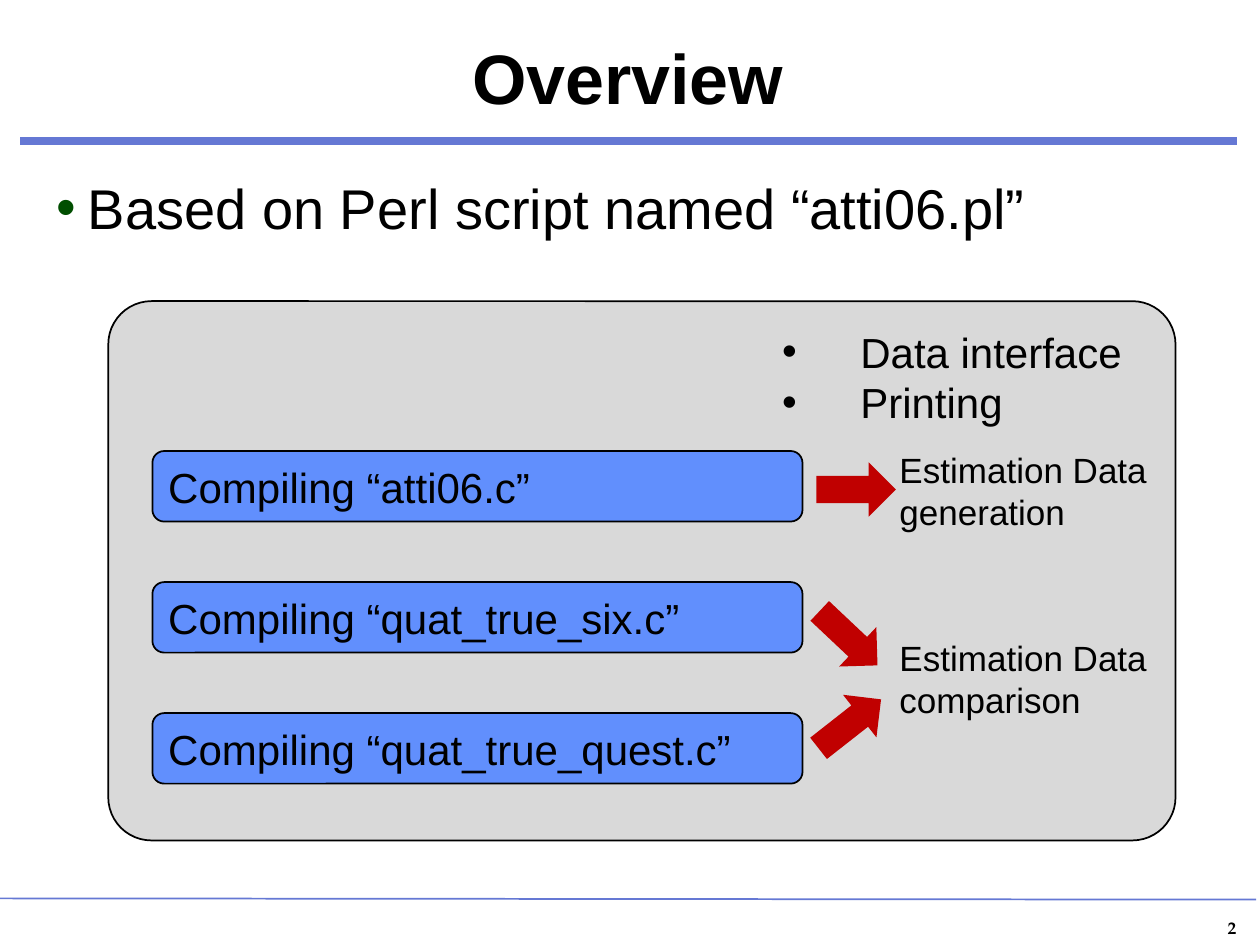
from lxml.etree import SubElement
from pptx import Presentation
from pptx.dml.color import RGBColor
from pptx.enum.shapes import MSO_CONNECTOR as Connector, MSO_SHAPE as Shape
from pptx.enum.text import MSO_ANCHOR as Anchor, PP_ALIGN as Align
from pptx.oxml.ns import qn
from pptx.util import Inches, Pt

COLORS = {
    "ink": "000000",
    "rule": "6578D4",
    "panel": "D9D9D9",
    "step": "618FFD",
    "arrow": "C00000",
    "bullet": "004E00",
}

deck = Presentation()
deck.slide_width, deck.slide_height = Inches(10), Inches(7.5)
column, row = deck.slide_width / 100, deck.slide_height / 75
page = deck.slides.add_slide(deck.slide_layouts[6])


def write(box, lines, size=24, font="Arial", bold=False, align=Align.LEFT,
          anchor=Anchor.TOP, wrap=True, indent=0, bullet=None, before=0, spacing=None):
    frame = box.text_frame
    frame.word_wrap = wrap
    frame.vertical_anchor = anchor
    for index, line in enumerate(lines):
        para = frame.paragraphs[0] if index == 0 else frame.add_paragraph()
        para.alignment = align
        para.space_before = Pt(before)
        if spacing:
            para.line_spacing = spacing
        if bullet:
            props = para._p.get_or_add_pPr()
            props.set("marL", str(int(indent * column)))
            props.set("indent", str(int(-indent * column)))
            color = SubElement(props, qn("a:buClr"))
            SubElement(color, qn("a:srgbClr")).set("val", COLORS[bullet])
            SubElement(props, qn("a:buFont")).set("typeface", "Arial")
            SubElement(props, qn("a:buChar")).set("char", "•")
        span = para.add_run()
        span.text = line
        span.font.size, span.font.name, span.font.bold = Pt(size), font, bold
        span.font.color.rgb = RGBColor.from_string(COLORS["ink"])


def place(kind, left, top, width, height, fill=None, outlined=False):
    area = [int(left * column), int(top * row), int(width * column), int(height * row)]
    if kind is None:
        return page.shapes.add_textbox(*area)
    box = page.shapes.add_shape(kind, *area)
    box.shadow.inherit = False
    box.fill.solid()
    box.fill.fore_color.rgb = RGBColor.from_string(COLORS[fill])
    if outlined:
        box.line.color.rgb = RGBColor.from_string(COLORS["ink"])
        box.line.width = Pt(1)
    else:
        box.line.fill.background()
    return box


for start, start_row, end, end_row, weight in [(1.6, 11.2, 98.2, 11.2, 4.5),
                                               (0, 71.3, 99.7, 71.4, 1)]:
    rule = page.shapes.add_connector(Connector.STRAIGHT, int(start * column), int(start_row * row),
                                     int(end * column), int(end_row * row))
    rule.line.color.rgb = RGBColor.from_string(COLORS["rule"])
    rule.line.width = Pt(weight)
    SubElement(rule._element.spPr, qn("a:effectLst"))

number = place(None, 89.1, 72.3, 10, 2.7)
write(number, ["2"], size=10, font="TeX Gyre Pagella", bold=True, align=Align.RIGHT)

title = place(None, 14.7, 2.4, 70.2, 8.4)
write(title, ["Overview"], size=40, bold=True, align=Align.CENTER,
      anchor=Anchor.MIDDLE, spacing=0.85)

intro = place(None, 3.5, 13.3, 93.3, 7.9)
write(intro, ["Based on Perl script named “atti06.pl”"], size=32,
      indent=2.5, bullet="bullet", before=4)

panel = place(Shape.ROUNDED_RECTANGLE, 8.6, 23.9, 84.7, 42.8, "panel", outlined=True)
panel.adjustments[0] = 0.08

for index, source in enumerate(["atti06.c", "quat_true_six.c", "quat_true_quest.c"]):
    step = place(Shape.ROUNDED_RECTANGLE, 12.1, 35.8 + 10.4 * index, 51.6, 5.6, "step", outlined=True)
    write(step, [f"Compiling “{source}”"], anchor=Anchor.MIDDLE)

tasks = place(None, 61.1, 25.4, 29.3, 9.1)
write(tasks, ["Data interface", "Printing"], wrap=False, indent=6.2, bullet="ink")

for left, top, angle in [(64.8, 36.7, 0), (64.2, 48.5, 43.3), (64.3, 55.3, 321.9)]:
    arrow = place(Shape.RIGHT_ARROW, left, top, 6.3, 4.3, "arrow")
    arrow.rotation = angle

for top, outcome in [(35.1, "generation"), (50, "comparison")]:
    result = place(None, 70.4, top, 22.9, 7.7)
    write(result, [f"Estimation Data {outcome}"], size=20)

deck.save("out.pptx")
